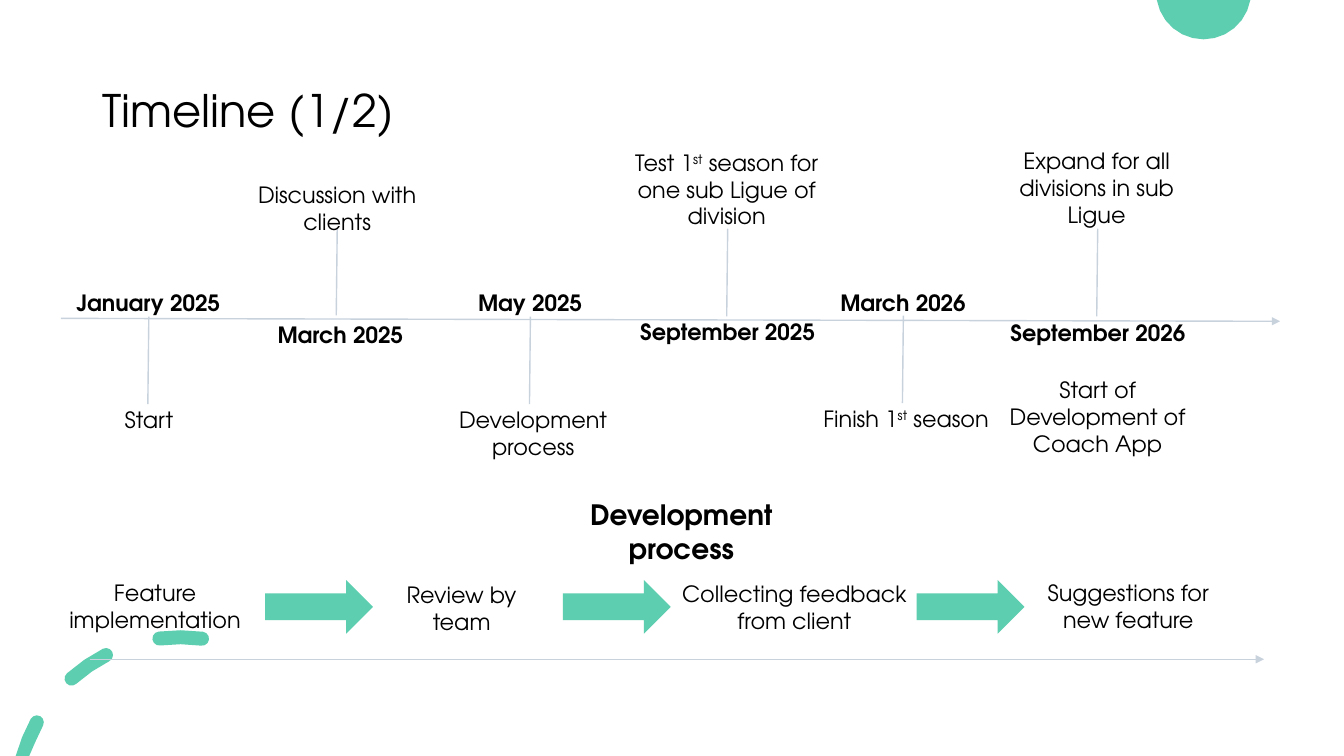
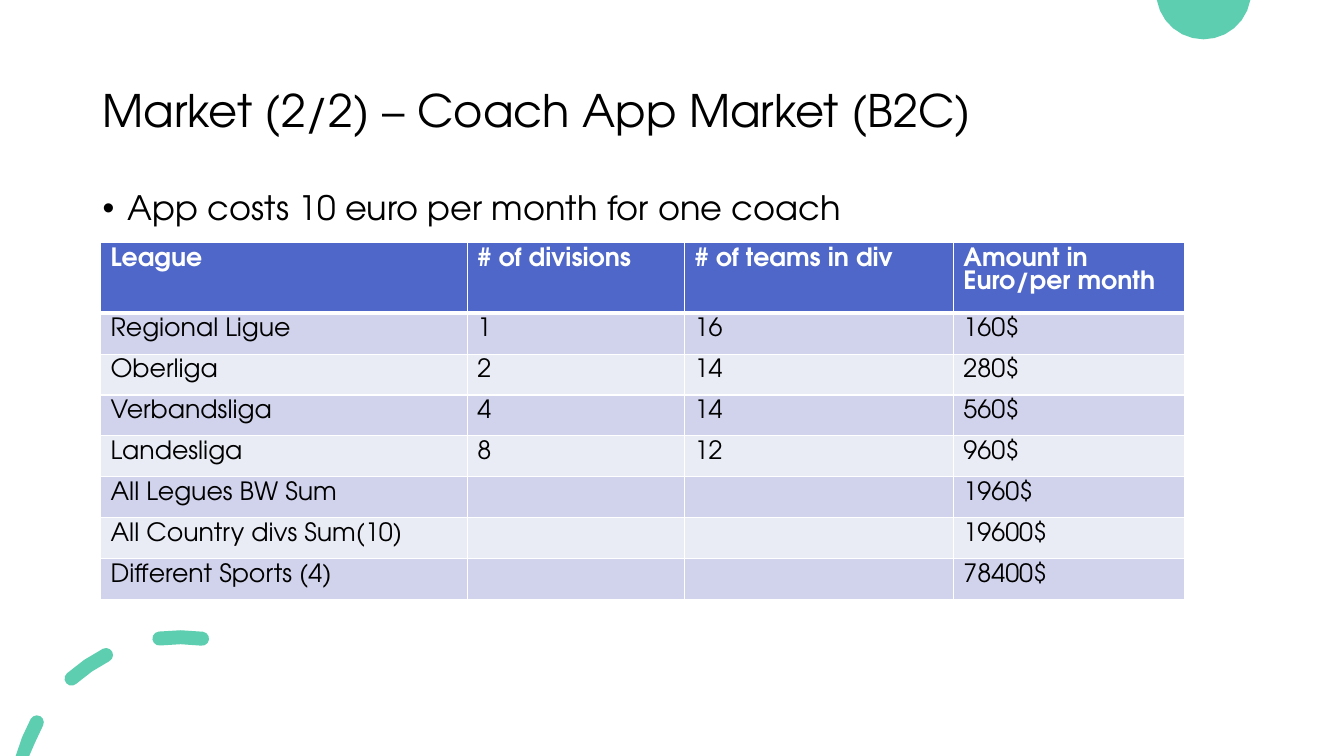
from math import cos, radians, sin

from lxml.etree import SubElement
from pptx import Presentation
from pptx.dml.color import RGBColor
from pptx.enum.shapes import MSO_CONNECTOR as Connector, MSO_SHAPE as Shape
from pptx.enum.text import MSO_ANCHOR as Anchor, MSO_AUTO_SIZE as AutoSize, PP_ALIGN as Align
from pptx.oxml.ns import qn
from pptx.util import Pt

FONT = "TeX Gyre Adventor"
BLACK = RGBColor(0x00, 0x00, 0x00)
WHITE = RGBColor(0xFF, 0xFF, 0xFF)
GREEN = RGBColor(0x5D, 0xCE, 0xAF)
GREY = RGBColor(0xC8, 0xD2, 0xDD)
BLUE = RGBColor(0x4E, 0x67, 0xC8)
BANDS = [RGBColor(0xD0, 0xD3, 0xEB), RGBColor(0xE9, 0xEB, 0xF5)]

WIDTH, HEIGHT = 960, 540
LINE_HEIGHT = 1.21  # of the text size

# Corner decoration: a disc, and dashes on a ring given by angles from twelve o'clock
DISC_CENTRE, DISC_RADIUS = (859.7, -5.8), 33.9
RING_CENTRE, RING_RADIUS, DASH_HALF = (128.7, 571.8), 116.6, 5
DASHES = [(-75, -61.4), (-41.7, -27), (-7.3, 7.7)]

# Text between carets is superscript
DATES = [  # text, left, top
    ("January 2025", 37.6, 206.6),
    ("March 2025", 174.8, 229.7),
    ("May 2025", 310.3, 206.6),
    ("September 2025", 451.4, 227.5),
    ("March 2026", 576.7, 206.6),
    ("September 2026", 715.9, 228.2),
]
EVENTS = [  # text, left, top, lines
    ("Start", 40.1, 290.2, 1),
    ("Discussion with clients", 174.6, 129.6, 2),
    ("Development process", 314.6, 290.2, 2),
    ("Test 1^st^ season for one sub Ligue of division", 452.9, 106.3, 3),
    ("Finish 1^st^ season", 581, 289.1, 1),
    ("Expand for all divisions in sub Ligue", 717.1, 105, 3),
    ("Start of Development of Coach App", 717.8, 268.9, 3),
]
DATE_WIDTH, EVENT_WIDTH = 136.8, 132.5
STEMS = [(106.3, 226.1), (240.9, 162.7), (378.9, 226.1),
         (519.8, 163.4), (645.3, 225.4), (784.1, 163.4)]
STEM_LENGTH, STEM_SLANT = 62.6, -0.7
AXES = [((43.4, 227.4), (914.4, 229.5)), ((64.1, 470.9), (902.9, 470.9))]

STEPS = [  # text, left, top, width
    ("Feature implementation", 43.5, 414, 134.6),
    ("Review by team", 270.7, 415.4, 118.1),
    ("Collecting feedback from client", 480.7, 414.7, 173.5),
    ("Suggestions for new feature", 730.4, 414, 151.2),
]
ARROW_LEFTS = [189.4, 402.1, 654.8]
ARROW_TOP, ARROW_WIDTH, ARROW_HEIGHT = 414.4, 77, 38.2

MARKET = [
    ("League", "# of divisions", "# of teams in div", "Amount in Euro/per month"),
    ("Regional Ligue", "1", "16", "160$"),
    ("Oberliga", "2", "14", "280$"),
    ("Verbandsliga", "4", "14", "560$"),
    ("Landesliga", "8", "12", "960$"),
    ("All Legues BW Sum", "", "", "1960$"),
    ("All Country divs Sum(10)", "", "", "19600$"),
    ("Different Sports (4)", "", "", "78400$"),
]
COLUMN_WIDTHS = [262, 155.2, 192, 165]
HEADER_HEIGHT, ROW_HEIGHT = 40.6, 29.2


def write(frame, text, size=16, bold=False, color=BLACK, align=Align.LEFT, spacing=None):
    para = frame.paragraphs[0]
    para.alignment = align
    if spacing:
        para.line_spacing = spacing
    for index, part in enumerate(text.split("^")):
        span = para.add_run()
        span.text = part
        span.font.name, span.font.size = FONT, Pt(size)
        span.font.bold, span.font.color.rgb = bold, color
        if index % 2:
            span.font._element.set("baseline", "30000")
    return para


def add_text_box(page, left, top, width, height):
    box = page.shapes.add_textbox(Pt(left), Pt(top), Pt(width), Pt(height))
    box.text_frame.word_wrap = True
    return box.text_frame


def add_label(page, text, left, top, width, lines=1, size=16, bold=False):
    """Centred text without insets, in a box that grows with it."""
    frame = add_text_box(page, left, top, width, lines * size * LINE_HEIGHT)
    frame.margin_left = frame.margin_top = frame.margin_right = frame.margin_bottom = 0
    frame.auto_size = AutoSize.SHAPE_TO_FIT_TEXT
    write(frame, text, size=size, bold=bold, align=Align.CENTER)


def add_line(page, start, end, arrow=False):
    line = page.shapes.add_connector(Connector.STRAIGHT, *(Pt(value) for value in start + end))
    line.line.color.rgb = GREY
    line.line.width = Pt(1)
    if arrow:
        SubElement(line.line._get_or_add_ln(), qn("a:tailEnd"), type="triangle")
    SubElement(line._element.spPr, qn("a:effectLst"))


def paint(shape):
    shape.shadow.inherit = False
    shape.fill.solid()
    shape.fill.fore_color.rgb = GREEN
    shape.line.fill.background()


def arc(centre, radius, start, end, steps):
    """Points of an arc, clockwise in degrees from twelve o'clock, kept on the slide."""
    angles = [radians(start + (end - start) * step / steps) for step in range(steps + 1)]
    return [(centre[0] + radius * sin(angle),
             min(max(centre[1] - radius * cos(angle), 0), HEIGHT)) for angle in angles]


def dash_outline(start, end):
    """A piece of the ring with round ends."""
    first, last = (
        (RING_CENTRE[0] + RING_RADIUS * sin(radians(angle)),
         RING_CENTRE[1] - RING_RADIUS * cos(radians(angle))) for angle in (start, end))
    return (arc(RING_CENTRE, RING_RADIUS + DASH_HALF, start, end, 2)
            + arc(last, DASH_HALF, end, end + 180, 6)[1:-1]
            + arc(RING_CENTRE, RING_RADIUS - DASH_HALF, end, start, 2)
            + arc(first, DASH_HALF, start + 180, start + 360, 6)[1:-1])


def add_outlines(page, outlines):
    contours = [[(Pt(x), Pt(y)) for x, y in outline] for outline in outlines]
    builder = page.shapes.build_freeform(*contours[0][0])
    for index, points in enumerate(contours):
        if index:
            builder.move_to(*points[0])
        builder.add_line_segments(points[1:], close=True)
    paint(builder.convert_to_shape())


def add_page(deck, title):
    page = deck.slides.add_slide(deck.slide_layouts[6])
    add_outlines(page, [arc(DISC_CENTRE, DISC_RADIUS, 99.85, 260.15, 12)])
    add_outlines(page, [dash_outline(*dash) for dash in DASHES])
    frame = add_text_box(page, 66.2, 28.8, 828, 104.4)
    frame.vertical_anchor = Anchor.MIDDLE
    write(frame, title, size=32, spacing=0.9)
    return page


def add_timeline(page):
    for x, top in STEMS:
        add_line(page, (x, top), (x + STEM_SLANT, top + STEM_LENGTH))
    for start, end in AXES:
        add_line(page, start, end, arrow=True)
    for text, left, top in DATES:
        add_label(page, text, left, top, DATE_WIDTH, bold=True)
    for text, left, top, lines in EVENTS:
        add_label(page, text, left, top, EVENT_WIDTH, lines=lines)


def add_process(page):
    add_label(page, "Development process", 418.3, 355.7, DATE_WIDTH, lines=2, size=20, bold=True)
    for text, left, top, width in STEPS:
        add_label(page, text, left, top, width, lines=2)
    for left in ARROW_LEFTS:
        paint(page.shapes.add_shape(Shape.RIGHT_ARROW, Pt(left), Pt(ARROW_TOP),
                                    Pt(ARROW_WIDTH), Pt(ARROW_HEIGHT)))


def add_bullet(page, text):
    para = write(add_text_box(page, 66.2, 133.2, 893, 67), text, size=24, spacing=0.9)
    properties = para._p.get_or_add_pPr()
    properties.set("marL", str(Pt(18)))
    properties.set("indent", str(-Pt(18)))
    SubElement(properties, qn("a:buFont"), typeface="Arial")
    SubElement(properties, qn("a:buChar"), char="•")


def set_borders(cell, **widths):
    """White borders; call before the fill is set, as they come first in the cell."""
    properties = cell._tc.get_or_add_tcPr()
    for side in "LRTB":
        edge = SubElement(properties, qn(f"a:ln{side}"), w=str(Pt(widths.get(side, 1))))
        fill = SubElement(edge, qn("a:solidFill"))
        SubElement(fill, qn("a:srgbClr"), val=str(WHITE))


def add_market_table(page):
    heights = [HEADER_HEIGHT] + [ROW_HEIGHT] * (len(MARKET) - 1)
    table = page.shapes.add_table(len(MARKET), len(COLUMN_WIDTHS), Pt(71.8), Pt(173.3),
                                  Pt(sum(COLUMN_WIDTHS)), Pt(sum(heights))).table
    for column, width in zip(table.columns, COLUMN_WIDTHS):
        column.width = Pt(width)
    for index, (row, height, texts) in enumerate(zip(table.rows, heights, MARKET)):
        row.height = Pt(height)
        header = index == 0
        for cell, text in zip(row.cells, texts):
            set_borders(cell, T=3 if index == 1 else 1, B=3 if header else 1)
            cell.fill.solid()
            cell.fill.fore_color.rgb = BLUE if header else BANDS[(index - 1) % 2]
            if text:
                write(cell.text_frame, text, size=18, bold=header,
                      color=WHITE if header else BLACK)


def main():
    deck = Presentation()
    deck.slide_width, deck.slide_height = Pt(WIDTH), Pt(HEIGHT)

    timeline = add_page(deck, "Timeline (1/2)")
    add_timeline(timeline)
    add_process(timeline)

    market = add_page(deck, "Market (2/2) – Coach App Market (B2C)")
    add_bullet(market, "App costs 10 euro per month for one coach")
    add_market_table(market)

    deck.save("out.pptx")


if __name__ == "__main__":
    main()
